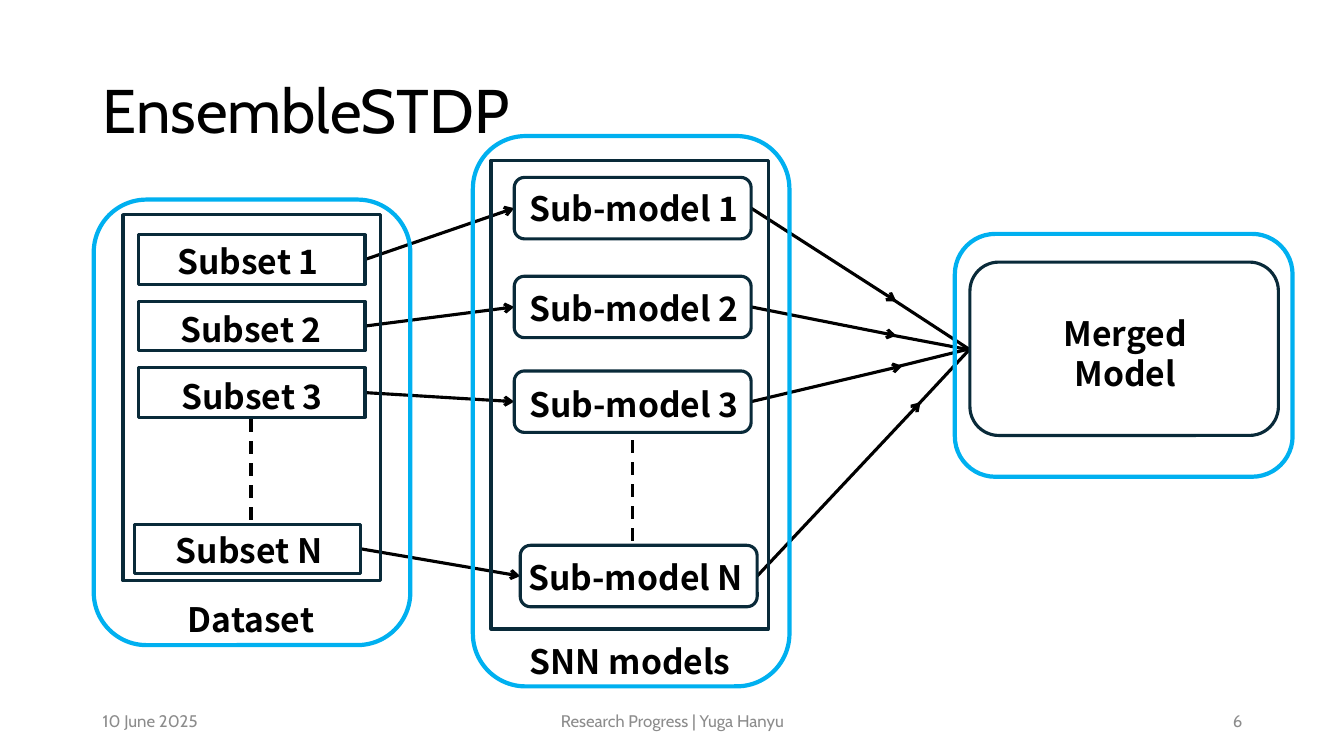
"""Build the EnsembleSTDP slide: data subsets train sub-models that merge into one model."""
from lxml import etree
from pptx import Presentation
from pptx.dml.color import RGBColor
from pptx.enum.dml import MSO_LINE
from pptx.enum.shapes import MSO_CONNECTOR, MSO_SHAPE
from pptx.enum.text import MSO_ANCHOR, MSO_AUTO_SIZE, PP_ALIGN
from pptx.oxml.ns import qn
from pptx.util import Inches, Pt

RECT, ROUND = MSO_SHAPE.RECTANGLE, MSO_SHAPE.ROUNDED_RECTANGLE
LEFT, CENTER, RIGHT = PP_ALIGN.LEFT, PP_ALIGN.CENTER, PP_ALIGN.RIGHT
TOP, MIDDLE = MSO_ANCHOR.TOP, MSO_ANCHOR.MIDDLE
FIT, DASH, STRAIGHT = MSO_AUTO_SIZE.SHAPE_TO_FIT_TEXT, MSO_LINE.DASH, MSO_CONNECTOR.STRAIGHT

THEME = {
    "black": RGBColor(0x00, 0x00, 0x00),
    "grey": RGBColor(0x8C, 0x8C, 0x8C),
    "white": RGBColor(0xFF, 0xFF, 0xFF),
    "navy": RGBColor(0x09, 0x2A, 0x39),
    "blue": RGBColor(0x00, 0xB0, 0xF0),
    "title": ("Cabin", 44, False, "black"),
    "footer": ("Cabin", 12, False, "grey"),
    "label": ("Noto Sans CJK JP", 24, True, "black"),
    "line": Pt(2.25),
    "frame": Pt(3),
}

prs = Presentation()
prs.slide_width, prs.slide_height = Inches(13.33), Inches(7.5)
COL, ROW = prs.slide_width / 1333, prs.slide_height / 750
s = prs.slides.add_slide(prs.slide_layouts[6])


def grid(x, y, *size):
    """Turn columns and rows of the slide grid into slide lengths."""
    return [round(n * unit) for n, unit in zip((x, y, *size), (COL, ROW, COL, ROW))]


def add_text(text, area, style="label", align=CENTER, anchor=TOP):
    """Add a text box holding one styled run and return its paragraph."""
    tf = s.shapes.add_textbox(*grid(*area)).text_frame
    tf.word_wrap, tf.vertical_anchor = True, anchor
    if style == "label":
        tf.auto_size = FIT
    p = tf.paragraphs[0]
    p.alignment = align
    r = p.add_run()
    r.text = text
    r.font.name, size, r.font.bold, color = THEME[style]
    r.font.size, r.font.color.rgb = Pt(size), THEME[color]
    return p


add_text("EnsembleSTDP", (92, 40, 1150, 145), "title", LEFT, MIDDLE).line_spacing = 0.9
add_text("10 June 2025", (92, 695, 300, 40), "footer", LEFT, MIDDLE)
add_text("Research Progress | Yuga Hanyu", (442, 695, 450, 40), "footer", CENTER, MIDDLE)
add_text("6", (942, 695, 300, 40), "footer", RIGHT, MIDDLE)

names = ["1", "2", "3", "N"]
subsets = [(137, 233), (137, 299), (137, 365), (133, 520)]
submodels = [(510, 176), (510, 274), (510, 368), (516, 541)]
subset_labels = [(147, 234), (150, 302), (151, 368), (148, 521)]
submodel_labels = [182, 281, 376, 548]
arrow_middles = [(889, 299), (889, 333), (895, 363), (913, 399)]
merge_starts = [(884, 296), (882, 332), (889, 364), (911, 401)]
merge_ends = [(982, 360), (993, 353), (982, 341), (979, 328)]
SUBSET_W, SUBSET_H, MODEL_W, MODEL_H = 225, 49, 235, 61

lines = [(start, end, False) for start, end in zip(merge_starts, merge_ends)]
for (x, y), (mx, my), middle in zip(subsets, submodels, arrow_middles):
    model_y = my + MODEL_H / 2
    lines.append(((x + SUBSET_W, y + SUBSET_H / 2), (mx, model_y), True))
    lines.append(((mx + MODEL_W, model_y), middle, True))
for start, end in [((249, 416), (249, 520)), ((627, 437), (627, 541))]:
    lines.append((start, end, None))

for start, end, arrow in lines:
    c = s.shapes.add_connector(STRAIGHT, *grid(*start), *grid(*end))
    c.line.color.rgb, c.line.width = THEME["black"], THEME["line"]
    if arrow is None:
        c.line.dash_style = DASH
    else:
        etree.SubElement(c.line._get_or_add_ln(), qn("a:tailEnd"), type="arrow")
    etree.SubElement(c._element.spPr, qn("a:effectLst"))

boxes = [
    (RECT, (122, 213, 255, 363), None, "navy", "line"),
    (RECT, (487, 159, 275, 465), None, "navy", "line"),
    (ROUND, (962, 260, 306, 172), "white", "navy", "line"),
]
boxes += [(RECT, (*at, SUBSET_W, SUBSET_H), "white", "navy", "line") for at in subsets]
boxes += [(ROUND, (*at, MODEL_W, MODEL_H), None, "navy", "line") for at in submodels]
for area in [(93, 198, 314, 442), (469, 135, 314, 546), (947, 232, 335, 241)]:
    boxes.append((ROUND, area, None, "blue", "frame"))

for kind, area, fill, color, width in boxes:
    sp = s.shapes.add_shape(kind, *grid(*area))
    sp.shadow.inherit = False
    if fill:
        sp.fill.solid()
        sp.fill.fore_color.rgb = THEME[fill]
    else:
        sp.fill.background()
    sp.line.color.rgb, sp.line.width = THEME[color], THEME[width]

for name, at, y in zip(names, subset_labels, submodel_labels):
    add_text(f"Subset {name}", (*at, 198, 50))
    add_text(f"Sub-model {name}", (511, y, 239 if name == "N" else 235, 50))
add_text("Dataset", (150, 589, 198, 50))
add_text("SNN models", (508, 631, 234, 50))
add_text("Merged Model", (1017, 305, 198, 91))

prs.save("out.pptx")
